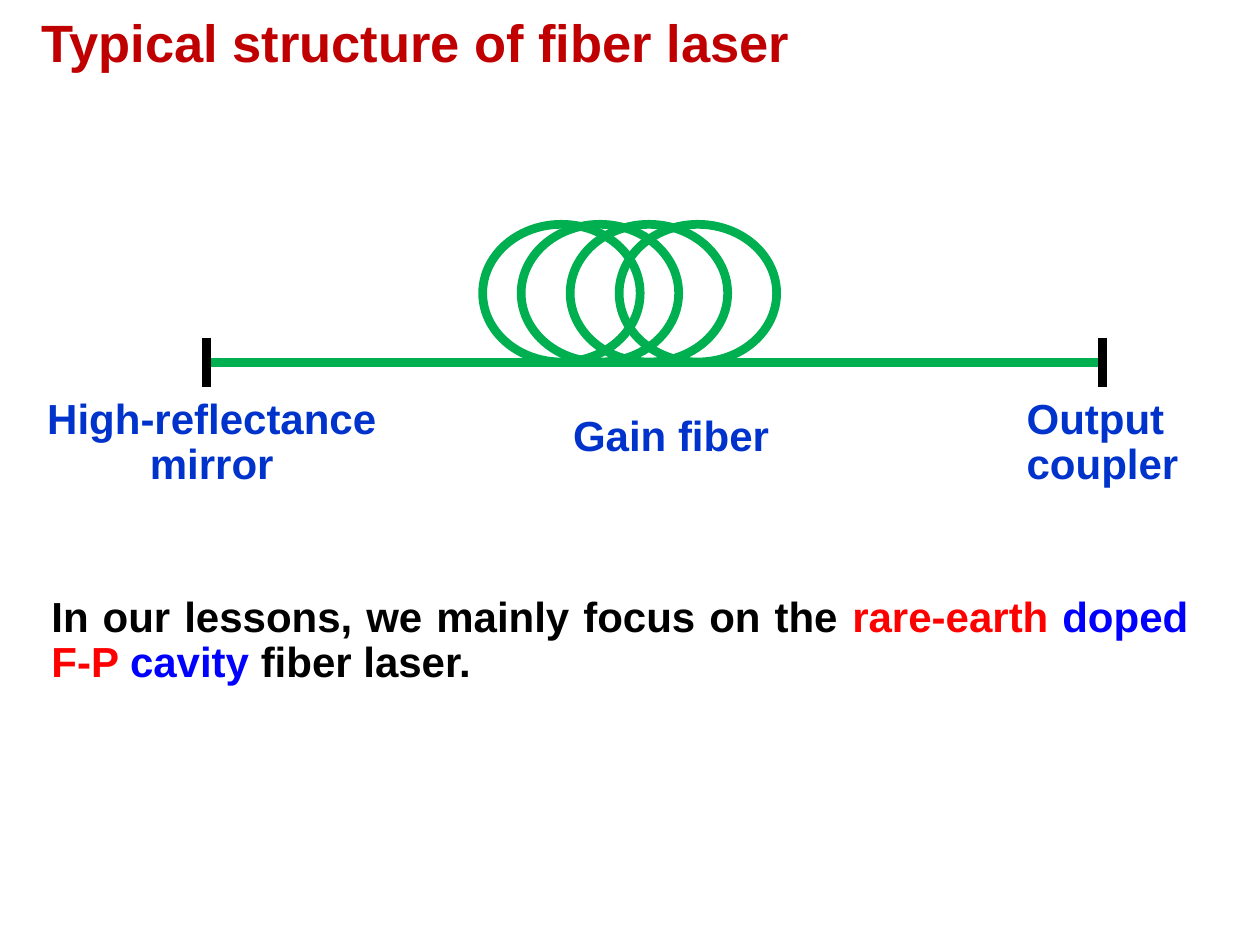
"""Build a slide showing the typical structure of a fiber laser."""
from pptx import Presentation
from pptx.dml.color import RGBColor
from pptx.enum import shapes, text
from pptx.util import Pt

HUES = {
    "title": "C00000", "label": "0033CC", "fiber": "00B050",
    "black": "000000", "red": "FF0000", "blue": "0000FF",
}
JUST = text.PP_ALIGN.JUSTIFY
MID = text.PP_ALIGN.CENTER


def tint(name):
    """Return the named colour."""
    return RGBColor.from_string(HUES[name])


def stroke(line, hue):
    """Style a line of the drawing."""
    line.color.rgb = tint(hue)
    line.width = Pt(5)


def link(slide, start, end, hue):
    """Draw a straight line between two points."""
    rod = slide.shapes.add_connector(
        shapes.MSO_CONNECTOR.STRAIGHT, *map(Pt, start + end))
    stroke(rod.line, hue)
    props = rod._element.spPr
    props.append(props.makeelement(
        "{http://schemas.openxmlformats.org/drawingml/2006/main}effectLst", {}))


def write(slide, box, parts, size=24, align=JUST):
    """Write one bold paragraph of coloured parts into a box."""
    frame = slide.shapes.add_textbox(*map(Pt, box)).text_frame
    frame.word_wrap = True
    para = frame.paragraphs[0]
    para.alignment = align
    para.line_spacing = 0.9
    for words, hue in parts:
        run = para.add_run()
        run.text = words
        run.font.name = "Arial"
        run.font.size = Pt(size)
        run.font.bold = True
        run.font.color.rgb = tint(hue)


def coil(slide, box):
    """Draw the overlapping fiber loops, each as tall as the box."""
    left, top, width, height = box
    for shift in (0, 22, 50, 78):
        loop = slide.shapes.add_shape(
            shapes.MSO_SHAPE.OVAL, Pt(left + shift), Pt(top),
            Pt(width - 78), Pt(height))
        loop.shadow.inherit = False
        loop.fill.background()
        stroke(loop.line, "fiber")


def cavity(slide, box):
    """Draw the fiber, its coil, the end mirrors and their labels."""
    left, top, width, height = box
    ends = left + 118, left + 630
    axis = top + 79
    link(slide, (ends[0], axis), (ends[1], axis), "fiber")
    coil(slide, (left + 275.8, top, 168, 78.7))
    for end in ends:
        link(slide, (end, axis - 14), (end, axis + 14), "black")
    low = top + height - 59
    for words, shift, drop, span, align in (
            ("High-reflectance mirror", 0, 0, 242, MID),
            ("Output coupler", 579.6, 0, 168.5, JUST),
            ("Gain fiber", 320.4, 10, 196.6, JUST)):
        write(slide, (left + shift, low + drop, span, 59 - 2.6 * drop),
              [(words, "label")], align=align)


def main():
    """Build and save the slide."""
    deck = Presentation()
    deck.slide_width, deck.slide_height = Pt(720), Pt(540)
    slide = deck.slides.add_slide(deck.slide_layouts[6])
    write(slide, (16.5, 6.5, 489.6, 39.6),
          [("Typical structure of fiber laser", "title")], 30)
    cavity(slide, (0, 128.2, 720, 154.8))
    write(slide, (22.3, 337, 663.8, 59), [
        ("In our lessons, we mainly focus on the ", "black"),
        ("rare-earth ", "red"), ("doped ", "blue"),
        ("F-P ", "red"), ("cavity ", "blue"),
        ("fiber laser.", "black")])
    deck.save("out.pptx")


if __name__ == "__main__":
    main()
